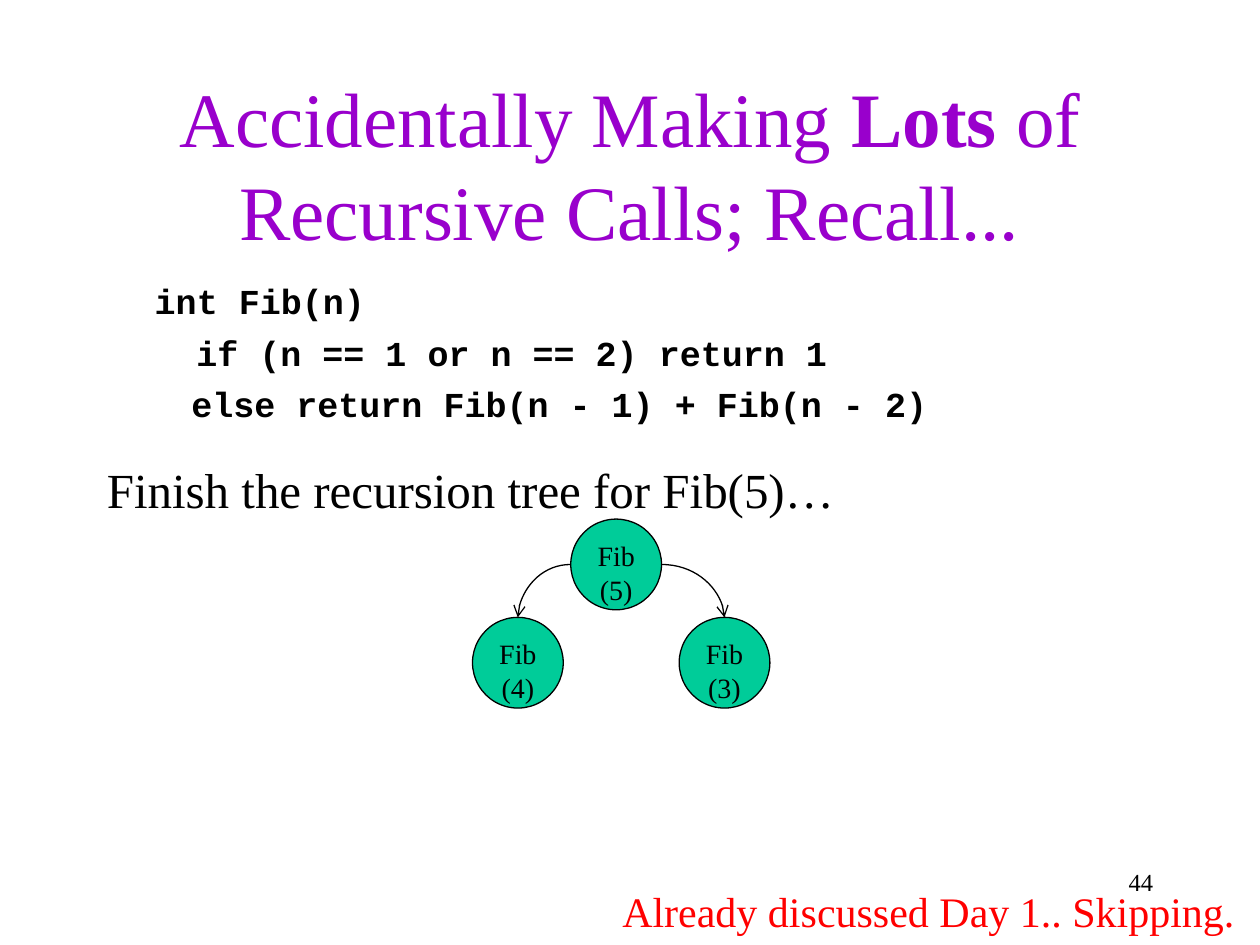
import dataclasses

import lxml.etree
import pptx
import pptx.dml.color
import pptx.enum.shapes
import pptx.enum.text
import pptx.oxml.ns
import pptx.util

WIDE, HIGH = 10, 7.5
ALIGN = pptx.enum.text.PP_ALIGN
ANCHOR = pptx.enum.text.MSO_ANCHOR


@dataclasses.dataclass(frozen=True)
class Theme:
    serif: str = "Times New Roman"
    mono: str = "Courier New"
    ink: str = "000000"
    head: str = "9900CC"
    node: str = "00CC99"
    alert: str = "FF0000"
    title: float = 44
    task: float = 28
    note: float = 24
    code: float = 20
    label: float = 16
    page: float = 14
    line: float = 0.75


THEME = Theme()


def share(left, top, width, height):
    """Turn percent shares of the slide into a box in inches."""
    return (left * WIDE / 100, top * HIGH / 100,
            width * WIDE / 100, height * HIGH / 100)


def inches(values):
    return [pptx.util.Inches(v) for v in values]


def color(code):
    return pptx.dml.color.RGBColor.from_string(code)


def add_run(para, text, size, tint=THEME.ink, face=THEME.serif, bold=False):
    run = para.add_run()
    run.text = text
    run.font.name = face
    run.font.size = pptx.util.Pt(size)
    run.font.bold = bold
    run.font.color.rgb = color(tint)


def add_text(slide, box, wrap=True, anchor=ANCHOR.TOP):
    frame = slide.shapes.add_textbox(*inches(box)).text_frame
    frame.word_wrap = wrap
    frame.vertical_anchor = anchor
    return frame


def add_title(slide, box):
    para = add_text(slide, box, anchor=ANCHOR.MIDDLE).paragraphs[0]
    para.alignment = ALIGN.CENTER
    for text, bold in (("Accidentally Making ", False), ("Lots", True),
                       (" of Recursive Calls; Recall...", False)):
        add_run(para, text, THEME.title, THEME.head, bold=bold)


def add_body(slide, box):
    frame = add_text(slide, box)
    # Code lines, each with its left indent in inches
    lines = (("int Fib(n)", 0.38),
             ("if (n == 1 or n == 2) return 1", 0.71),
             ("else return Fib(n - 1) + Fib(n - 2)", 0.67))
    para = frame.paragraphs[0]
    for text, indent in lines:
        para.space_before = pptx.util.Pt(5.5)
        props = para._p.get_or_add_pPr()
        props.set("marL", str(pptx.util.Inches(indent)))
        props.set("indent", "0")
        add_run(para, text, THEME.code, face=THEME.mono, bold=True)
        para = frame.add_paragraph()
    # Task below the code
    para.space_before = pptx.util.Pt(20)
    add_run(para, "Finish the recursion tree for Fib(5)…", THEME.task)


def add_node(slide, box, text):
    node = slide.shapes.add_shape(
        pptx.enum.shapes.MSO_SHAPE.OVAL, *inches(box))
    node.shadow.inherit = False
    node.fill.solid()
    node.fill.fore_color.rgb = color(THEME.node)
    node.line.color.rgb = color(THEME.ink)
    node.line.width = pptx.util.Pt(THEME.line)
    frame = node.text_frame
    frame.word_wrap = True
    frame.vertical_anchor = ANCHOR.TOP
    frame.paragraphs[0].alignment = ALIGN.CENTER
    add_run(frame.paragraphs[0], text, THEME.label)


def add_curve(slide, start, end):
    curve = slide.shapes.add_connector(
        pptx.enum.shapes.MSO_CONNECTOR.CURVE, *inches(start + end))
    curve.line.color.rgb = color(THEME.ink)
    curve.line.width = pptx.util.Pt(THEME.line)
    # Quarter bend, open arrowhead, no shadow
    qn = pptx.oxml.ns.qn
    props = curve._element.spPr
    props.find(qn("a:prstGeom")).set("prst", "curvedConnector2")
    lxml.etree.SubElement(curve.line._get_or_add_ln(),
                          qn("a:tailEnd"), type="arrow")
    lxml.etree.SubElement(props, qn("a:effectLst"))


def add_tree(slide, box):
    left, top, width, height = box
    size = 0.72
    low = top + height - size
    root = left + 0.78
    mid = top + size / 2
    add_node(slide, (root, top, size, size), "Fib(5)")
    # Each child hangs from one side of the root
    for child, side, text in ((left, root, "Fib(4)"),
                              (left + width - size, root + size, "Fib(3)")):
        add_node(slide, (child, low, size, size), text)
        add_curve(slide, (side, mid), (child + size / 2, low))


def add_page(slide, box):
    para = add_text(slide, box).paragraphs[0]
    para.alignment = ALIGN.RIGHT
    add_run(para, "44", THEME.page)


def add_note(slide, box):
    para = add_text(slide, box, wrap=False).paragraphs[0]
    add_run(para, "Already discussed Day 1.. Skipping.",
            THEME.note, THEME.alert)


def main():
    deck = pptx.Presentation()
    deck.slide_width, deck.slide_height = inches((WIDE, HIGH))
    slide = deck.slides.add_slide(deck.slide_layouts[6])
    add_title(slide, share(7.5, 8.93, 85, 16.67))
    add_body(slide, share(7.5, 28.93, 85, 60))
    add_page(slide, share(71.7, 91.07, 20.8, 6.67))
    add_tree(slide, share(37.5, 54.93, 23.6, 20))
    add_note(slide, share(48.4, 93.07, 51.1, 6.8))
    deck.save("out.pptx")


if __name__ == "__main__":
    main()
